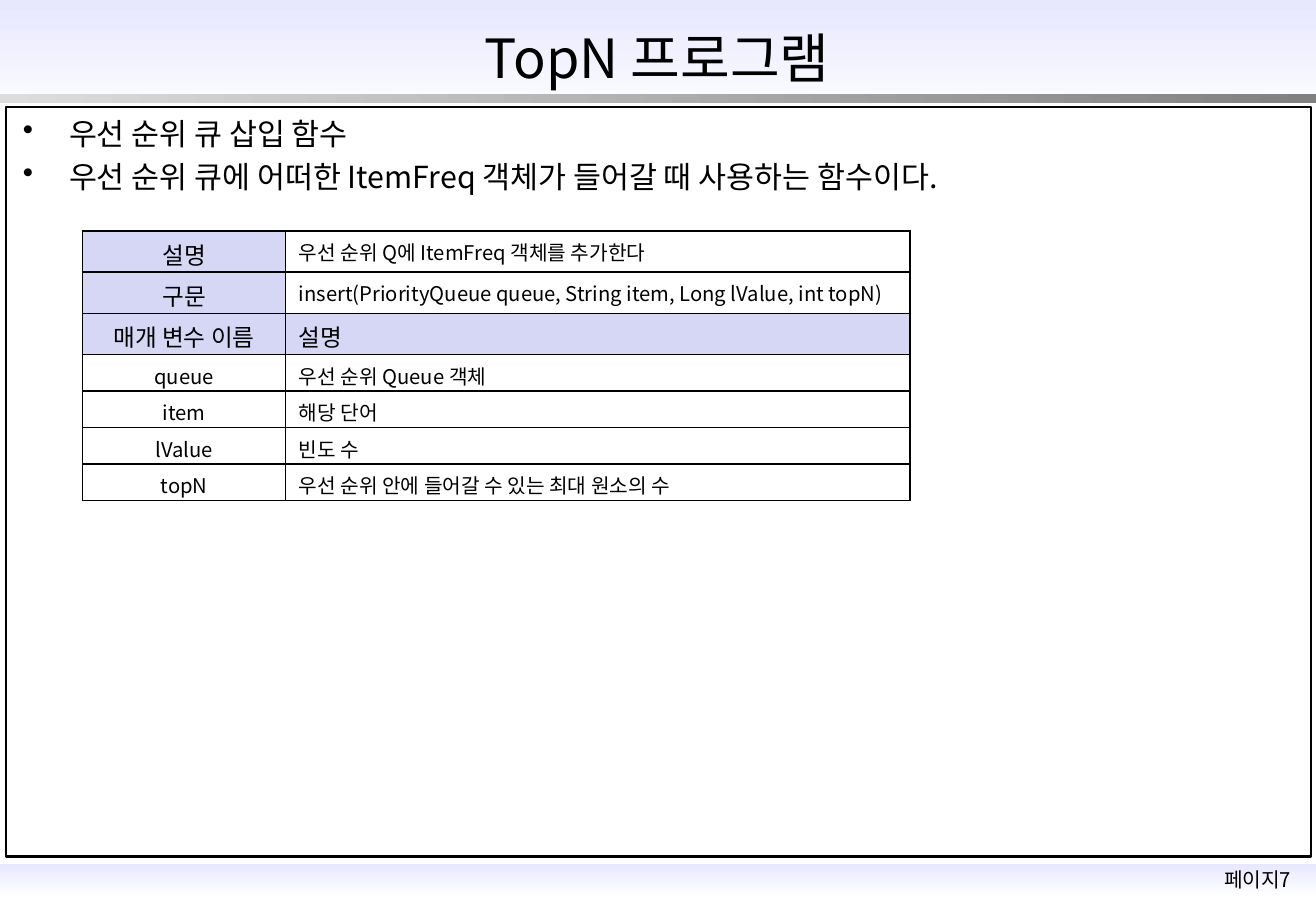
from lxml import etree
from pptx import Presentation
from pptx import util as u
from pptx.dml.color import RGBColor
from pptx.enum import shapes, text
from pptx.oxml import ns

W, H = 10.83, 7.5
FONT = "Noto Sans CJK KR"
HEX = {"ink": "000000", "lilac": "E7E7FF", "white": "FFFFFF",
       "head": "D6D6F5", "pale": "DDDDDD", "gray": "808080"}
LEFT, MID = text.PP_ALIGN.LEFT, text.PP_ALIGN.CENTER


def write(frame, *lines, size=12, align=LEFT, gap=0, bullet=None):
    """Fill a text frame; gap is the space before, as a share of the size."""
    frame.word_wrap = True
    frame.vertical_anchor = text.MSO_ANCHOR.MIDDLE
    for i, line in enumerate(lines):
        para = frame.add_paragraph() if i else frame.paragraphs[0]
        para.alignment = align
        para.space_before = u.Pt(size * gap)
        run = para.add_run()
        run.text = line
        run.font.size = u.Pt(size)
        run.font.color.rgb = RGBColor.from_string(HEX["ink"])
        run.font.name = FONT
        etree.SubElement(run.font._element, ns.qn("a:ea"), typeface=FONT)
        if bullet:
            props = para._p.get_or_add_pPr()
            props.set("marL", str(u.Inches(0.38)))
            props.set("indent", str(-u.Inches(0.38)))
            etree.SubElement(props, ns.qn("a:buChar"), char=bullet)


def edge(cell, width=1):
    """Draw all four borders of a table cell."""
    props = cell._tc.get_or_add_tcPr()
    for i, side in enumerate(("lnL", "lnR", "lnT", "lnB")):
        line = etree.Element(ns.qn("a:" + side), w=str(u.Pt(width)))
        fill = etree.SubElement(line, ns.qn("a:solidFill"))
        etree.SubElement(fill, ns.qn("a:srgbClr"), val=HEX["ink"])
        props.insert(i, line)


deck = Presentation()
deck.slide_width, deck.slide_height = u.Inches(W), u.Inches(H)
slide = deck.slides.add_slide(deck.slide_layouts[6])
RECT = shapes.MSO_SHAPE.RECTANGLE

# Gradient bands: top, height, angle, first and last colour
bands = [(7.11, 0.27, 270, "lilac", "white"),
         (0, 1, 270, "lilac", "white"),
         (0.77, 0.08, 0, "pale", "gray")]
for top, high, angle, first, last in bands:
    band = slide.shapes.add_shape(RECT, 0, u.Inches(top), u.Inches(W), u.Inches(high))
    band.shadow.inherit = False
    band.line.fill.background()
    band.fill.gradient()
    band.fill.gradient_angle = angle
    for stop, name, pos in zip(band.fill.gradient_stops, (first, last), (0, 1)):
        stop.color.rgb = RGBColor.from_string(HEX[name])
        stop.position = pos

# Content frame
box = slide.shapes.add_shape(RECT, *map(u.Inches, (0.05, 0.88, W - 0.09, 6.17)))
box.shadow.inherit = False
box.fill.background()
box.line.color.rgb = RGBColor.from_string(HEX["ink"])
box.line.width = u.Pt(1.5)

# Title, bullets and page number
notes = [
    ((1.4, 0.18, 8.02, 0.58), ["TopN 프로그램"], dict(size=32, align=MID)),
    ((0.09, 0.9, 10.5, 0.77),
     ["우선 순위 큐 삽입 함수",
      "우선 순위 큐에 어떠한 ItemFreq 객체가 들어갈 때 사용하는 함수이다."],
     dict(size=18, gap=0.2, bullet="•")),
    ((9.82, 7.09, 1.06, 0.3), ["페이지7"], dict(align=MID, gap=0.5)),
]
for place, lines, style in notes:
    area = slide.shapes.add_textbox(*map(u.Inches, place))
    write(area.text_frame, *lines, **style)
    if style.get("bullet"):
        area.text_frame.vertical_anchor = text.MSO_ANCHOR.TOP

# Function table
rows = [("설명", "우선 순위 Q에 ItemFreq 객체를 추가한다"),
        ("구문", "insert(PriorityQueue queue, String item, Long lValue, int topN)"),
        ("매개 변수 이름", "설명"),
        ("queue", "우선 순위 Queue 객체"),
        ("item", "해당 단어"),
        ("lValue", "빈도 수"),
        ("topN", "우선 순위 안에 들어갈 수 있는 최대 원소의 수")]
heads = {(0, 0), (1, 0), (2, 0), (2, 1)}
grid = slide.shapes.add_table(len(rows), 2, *map(u.Inches, (0.68, 1.9, 6.81, 2.22))).table
for col, wide in zip(grid.columns, (1.67, 5.14)):
    col.width = u.Inches(wide)
for r, row in enumerate(rows):
    grid.rows[r].height = u.Inches(0.34 if r < 3 else 0.3)
    for c, words in enumerate(row):
        cell = grid.cell(r, c)
        head = (r, c) in heads
        cell.margin_left = cell.margin_right = u.Inches(0.11)
        cell.margin_top = cell.margin_bottom = u.Inches(0.05)
        cell.vertical_anchor = text.MSO_ANCHOR.MIDDLE
        cell.fill.solid()
        cell.fill.fore_color.rgb = RGBColor.from_string(HEX["head" if head else "white"])
        write(cell.text_frame, words, size=14 if head else 12,
              align=LEFT if c else MID, gap=0.2)
        edge(cell)

deck.save("out.pptx")
